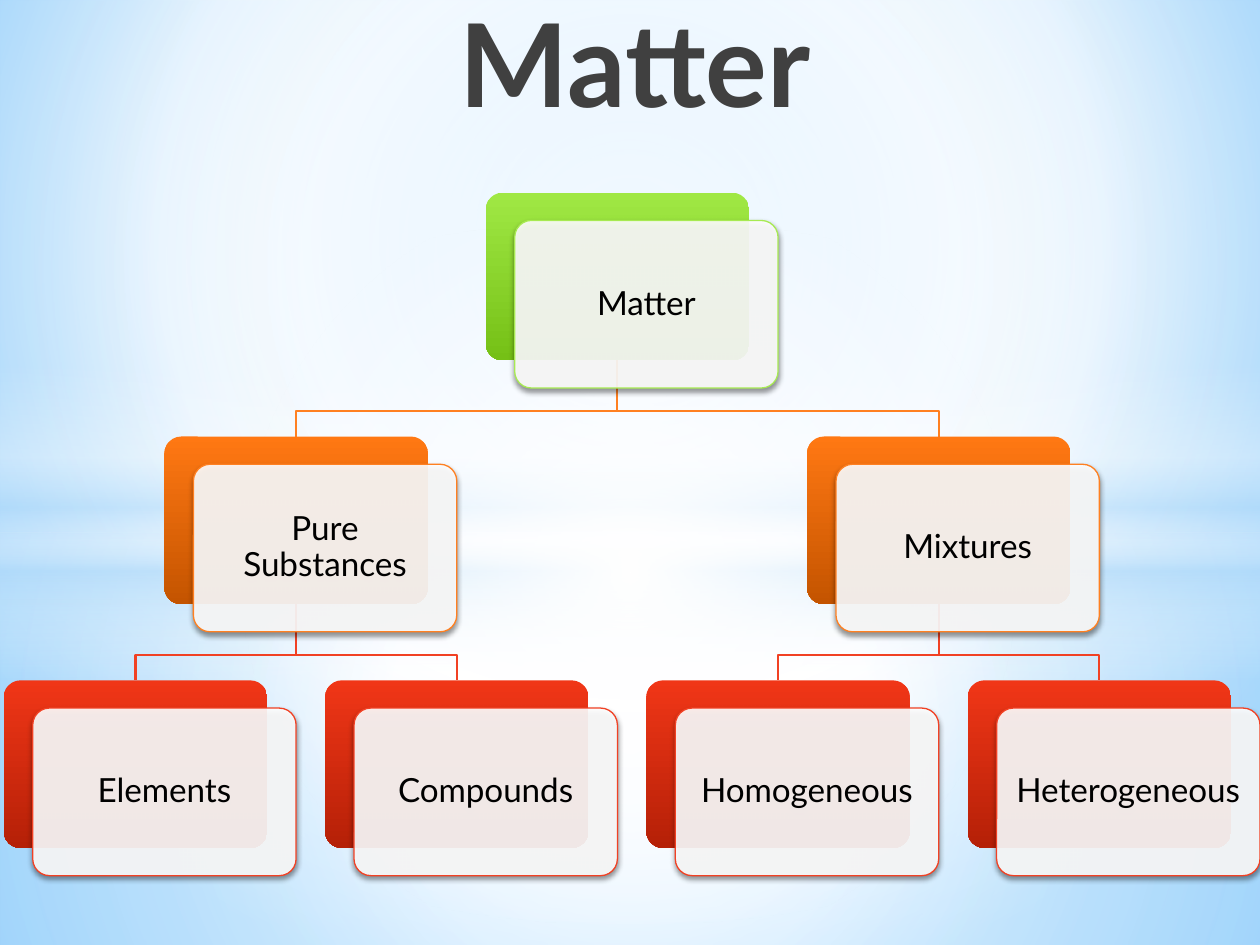
from lxml import etree
from pptx import Presentation
from pptx.dml.color import RGBColor
from pptx.enum.shapes import MSO_SHAPE
from pptx.enum.text import MSO_ANCHOR, MSO_AUTO_SIZE, PP_ALIGN
from pptx.oxml.ns import qn
from pptx.util import Inches, Pt

RECT, OVAL, ROUNDED = MSO_SHAPE.RECTANGLE, MSO_SHAPE.OVAL, MSO_SHAPE.ROUNDED_RECTANGLE
TOP, MIDDLE = MSO_ANCHOR.TOP, MSO_ANCHOR.MIDDLE
LEFT, CENTER = PP_ALIGN.LEFT, PP_ALIGN.CENTER
NO_AUTOFIT = MSO_AUTO_SIZE.NONE

WHITE = RGBColor(0xFF, 0xFF, 0xFF)
BLACK = RGBColor(0x00, 0x00, 0x00)
GRAY = RGBColor(0x40, 0x40, 0x40)
PALE_BLUE = RGBColor(0xB4, 0xDC, 0xFA)
SKY = RGBColor(0x9E, 0xD5, 0xFF)
DEEP_SKY = RGBColor(0x5B, 0xB9, 0xFF)
GREEN = RGBColor(0xA7, 0xEA, 0x52)
GREEN_LIGHT = RGBColor(0xA0, 0xE8, 0x44)
GREEN_DARK = RGBColor(0x75, 0xC0, 0x16)
ORANGE = RGBColor(0xFF, 0x80, 0x21)
ORANGE_LIGHT = RGBColor(0xFF, 0x78, 0x13)
ORANGE_DARK = RGBColor(0xC4, 0x54, 0x00)
RED = RGBColor(0xF1, 0x41, 0x24)
RED_LIGHT = RGBColor(0xF0, 0x36, 0x17)
RED_DARK = RGBColor(0xB5, 0x20, 0x07)


def set_gradient(owner, fill, stops, focus=None):
    """Stops are (position %, colour, opacity %); focus is a l, t, r, b inset in %.

    Without a focus the gradient runs from top to bottom.
    """
    fill.gradient()
    grad = owner.element.find(".//" + qn("a:gradFill"))
    for child in list(grad):
        grad.remove(child)
    gs_list = etree.SubElement(grad, qn("a:gsLst"))
    for pos, color, opacity in stops:
        gs = etree.SubElement(gs_list, qn("a:gs"), pos=str(pos * 1000))
        clr = etree.SubElement(gs, qn("a:srgbClr"), val=str(color))
        etree.SubElement(clr, qn("a:alpha"), val=str(opacity * 1000))
    if focus:
        shade = etree.SubElement(grad, qn("a:path"), path="circle")
        edges = {k: str(v * 1000) for k, v in zip("ltrb", focus)}
        etree.SubElement(shade, qn("a:fillToRect"), **edges)
    else:
        etree.SubElement(grad, qn("a:lin"), ang="5400000", scaled="0")


def write_text(sp, text, size, color, bold=False, align=CENTER, anchor=MIDDLE,
               margin_x=0.1, margin_y=0.05, line_spacing=1.0):
    tf = sp.text_frame
    tf.word_wrap = True
    tf.auto_size = NO_AUTOFIT
    tf.vertical_anchor = anchor
    tf.margin_left = tf.margin_right = Inches(margin_x)
    tf.margin_top = tf.margin_bottom = Inches(margin_y)
    p = tf.paragraphs[0]
    p.alignment = align
    p.line_spacing = line_spacing
    r = p.add_run()
    r.text = text
    r.font.name = "Lato"
    r.font.size = Pt(size)
    r.font.bold = bold
    r.font.color.rgb = color


prs = Presentation()
prs.slide_width, prs.slide_height = Inches(10), Inches(7.5)
s = prs.slides.add_slide(prs.slide_layouts[5])

# Background glow
set_gradient(s, s.background.fill,
             [(0, SKY, 100), (60, WHITE, 100), (100, DEEP_SKY, 100)], (20, 10, 20, 60))
MID = (50, 50, 50, 50)
glows = [
    (RECT, 4.23, 3.27, MID, [(0, WHITE, 91), (37, WHITE, 76), (100, PALE_BLUE, 79)]),
    (RECT, 0, 4.23, MID, [(0, WHITE, 89), (48, WHITE, 62), (100, PALE_BLUE, 79)]),
    (RECT, 2.9, 2.5, None, [(0, WHITE, 0), (29, WHITE, 30), (45, PALE_BLUE, 40),
                            (55, WHITE, 26), (65, PALE_BLUE, 60), (100, WHITE, 0)]),
    (OVAL, 1.75, 5.58, MID, [(0, WHITE, 100), (54, WHITE, 0)]),
]
for kind, top, height, focus, stops in glows:
    sp = s.shapes.add_shape(kind, 0, Inches(top), prs.slide_width, Inches(height))
    sp.shadow.inherit = False
    sp.line.fill.background()
    set_gradient(sp, sp.fill, stops, focus)

# Title, brought in front of the glow
title = s.shapes.title
title.left, title.top = Inches(3.35), Inches(-0.11)
title.width, title.height = Inches(3.39), Inches(1.34)
write_text(title, "Matter", 66, GRAY, bold=True, align=LEFT, anchor=TOP)
title.text_frame.margin_left = Inches(0.3)
title.element.getparent().append(title.element)

# Tree: label, column, level, column of the parent
nodes = [
    ("Matter", 1.5, 0, None),
    ("Pure Substances", 0.5, 1, 1.5),
    ("Elements", 0, 2, 0.5),
    ("Compounds", 1, 2, 0.5),
    ("Mixtures", 2.5, 1, 1.5),
    ("Homogeneous", 2, 2, 2.5),
    ("Heterogeneous", 3, 2, 2.5),
]
level_colors = [(GREEN, GREEN_LIGHT, GREEN_DARK),
                (ORANGE, ORANGE_LIGHT, ORANGE_DARK),
                (RED, RED_LIGHT, RED_DARK)]
X0, Y0 = Inches(0.03), Inches(1.53)
STEP_X, STEP_Y = Inches(2.55), Inches(3.87) // 2
BOX_W, BOX_H = Inches(2.09), Inches(1.33)
OFFSET_X, OFFSET_Y = Inches(0.23), Inches(0.22)
ELBOW = Inches(0.2)

for label, column, level, parent in nodes:
    if parent is None:
        continue
    x = X0 + column * STEP_X + BOX_W / 2
    parent_x = X0 + parent * STEP_X + BOX_W / 2
    y = Y0 + level * STEP_Y
    fb = s.shapes.build_freeform(parent_x, y - STEP_Y + BOX_H)
    fb.add_line_segments([(parent_x, y - ELBOW), (x, y - ELBOW), (x, y)], close=False)
    branch = fb.convert_to_shape()
    branch.shadow.inherit = False
    branch.fill.background()
    branch.line.color.rgb = level_colors[level][0]
    branch.line.width = Pt(1.25)

for label, column, level, parent in nodes:
    accent, light, dark = level_colors[level]
    x, y = int(X0 + column * STEP_X), Y0 + level * STEP_Y
    back = s.shapes.add_shape(ROUNDED, x, y, BOX_W, BOX_H)
    card = s.shapes.add_shape(ROUNDED, x + OFFSET_X, y + OFFSET_Y, BOX_W, BOX_H)
    for sp in (back, card):
        sp.adjustments[0] = 0.1
        sp.shadow.inherit = False
    set_gradient(back, back.fill, [(0, light, 100), (100, dark, 100)])
    back.line.fill.background()

    card.fill.solid()
    card.fill.fore_color.rgb = WHITE
    card.line.color.rgb = accent
    card.line.width = Pt(0.75)
    sp_pr = card.element.spPr
    clr = sp_pr.find(qn("a:solidFill") + "/" + qn("a:srgbClr"))
    etree.SubElement(clr, qn("a:alpha"), val="90000")
    shadow = etree.SubElement(sp_pr.find(qn("a:effectLst")), qn("a:outerShdw"),
                              blurRad=str(Pt(3.1)), dist=str(Pt(1.8)), dir="5400000")
    clr = etree.SubElement(shadow, qn("a:srgbClr"), val=str(BLACK))
    etree.SubElement(clr, qn("a:alpha"), val="45000")
    write_text(card, label, 19, BLACK, margin_x=0.06, margin_y=0.08, line_spacing=0.9)

prs.save("out.pptx")
